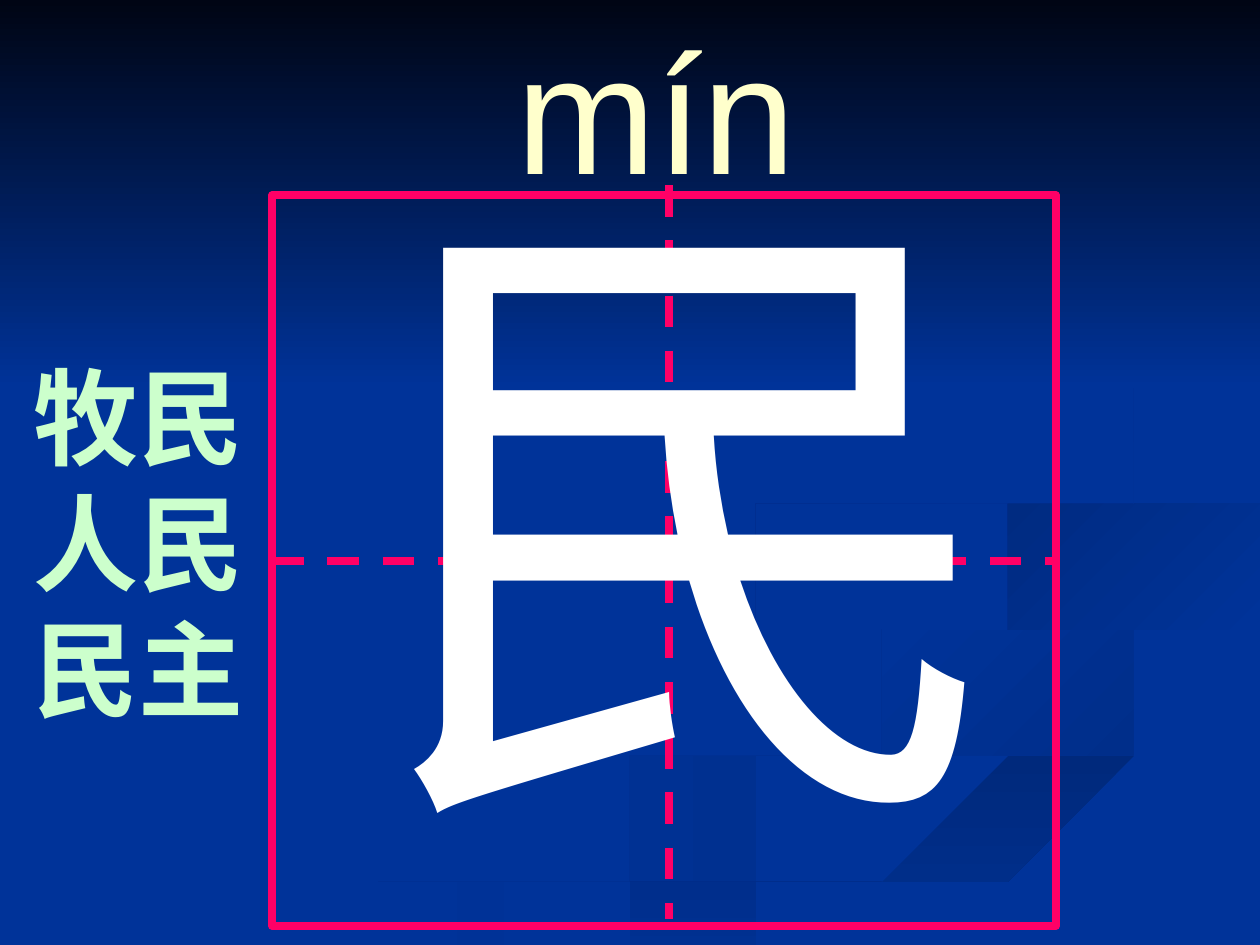
import pptx
import pptx.util
import pptx.dml.color
import pptx.enum.dml
import pptx.enum.shapes
import pptx.enum.text
import pptx.oxml

Inches, Pt = pptx.util.Inches, pptx.util.Pt
RGB = pptx.dml.color.RGBColor
SHAPE = pptx.enum.shapes.MSO_SHAPE
LINE = pptx.enum.shapes.MSO_CONNECTOR.STRAIGHT
FIT = pptx.enum.text.MSO_AUTO_SIZE

BLUE = RGB.from_string("003399")
DUSK = RGB.from_string("002E8A")
DEEP = RGB.from_string("00297C")
DIM = RGB.from_string("002B81")
NIGHT = RGB.from_string("000514")
PINK = RGB.from_string("FF0066")
WHITE = RGB.from_string("FFFFFF")
MINT = RGB.from_string("CCFFCC")
CREAM = RGB.from_string("FFFFCC")

WIDE, HIGH = 10, 7.5
STEPS = 6

# Background ribbons: first colour, last colour, clockwise angle, smooth edges
RIBBONS = [
    (DUSK, BLUE, 180, [
        [(5.75, 4.6), (5.94, 4.85), (6.82, 5.19), (7.81, 5.53), (8, 5.8),
         (7.69, 6.1), (5.64, 6.65), (3.6, 7.5)],
        [(3, 7.5), (5, 6.6), (7.4, 5.98), (7.85, 5.66), (7.28, 5.35),
         (6.02, 4.91)]]),
    (DUSK, BLUE, 225, [
        [(7.24, 4.64), (7.58, 4.98), (8.7, 5.3), (9.3, 5.53), (9.41, 5.8),
         (8.94, 6.05)],
        [(8.94, 6.05), (9.18, 5.8), (8.8, 5.5), (7.66, 5.12), (7.24, 4.64)]]),
    (DEEP, BLUE, 90, [
        [(5.03, 7.5), (6.3, 6.93), (7.64, 6.47), (9.98, 5.8)],
        [(9.98, 6.1), (7.85, 6.6), (6.5, 7.1), (5.7, 7.5)]]),
    (BLUE, BLUE, 0, [
        [(10, 3.87), (8.3, 4.15), (7.25, 4.64), (7.93, 5.1), (9.05, 5.4),
         (9.43, 5.7), (8.92, 6.05), (6.63, 6.68), (4.77, 7.5)],
        [(5.03, 7.5), (7.65, 6.47), (10, 5.8)],
        [(10, 5.38), (8.32, 4.98), (7.8, 4.63), (8.5, 4.27), (10, 4.02)]]),
    (BLUE, DIM, 225, [
        [(9.98, 4.02), (8.65, 4.24), (7.8, 4.6), (8.26, 4.96)],
        [(8.26, 4.96), (8.05, 4.72), (8.6, 4.43), (9.98, 4.2)]]),
    (BLUE, DIM, 225, [
        [(7.62, 2.33), (8.64, 2.9), (8.94, 3.44), (8.25, 4.02), (6.5, 4.36),
         (5.93, 4.7), (6.22, 5)],
        [(6.22, 5), (5.77, 4.62), (6.5, 4.2), (8.42, 3.78), (8.89, 3.35),
         (7.62, 2.33)]]),
]

# Text, left, top, width, height, size, font, colour, bold, wrap
TEXTS = [
    ("民", 2.83, 0.83, 5.14, 6.27, 370, "Times New Roman", WHITE, False, True),
    ("牧民人民民主", 0.17, 2.75, 2.05, 3.1, 60, "Arial", MINT, True, True),
    ("mín", 4, 0, 2.42, 1.7, 96, "Arial", CREAM, False, False),
]


def blend(a, b, c, d, t):
    """Catmull-Rom value between b and c."""
    return (2 * b + (c - a) * t + (2 * a - 5 * b + 4 * c - d) * t ** 2
            + (3 * b - a - 3 * c + d) * t ** 3) / 2


def smooth(knots):
    """Points of a soft curve through all the knots."""
    ends = [knots[0], *knots, knots[-1]]
    curve = [tuple(blend(*axis, step / STEPS) for axis in zip(*four))
             for four in zip(ends, ends[1:], ends[2:], ends[3:])
             for step in range(STEPS)]
    return curve + [knots[-1]]


def shade(shape, first, last, angle):
    """Fill with a two-colour blend, angle clockwise, without outline."""
    shape.shadow.inherit = False
    shape.line.fill.background()
    if first == last:
        shape.fill.solid()
        shape.fill.fore_color.rgb = first
        return
    shape.fill.gradient()
    shape.fill.gradient_angle = 360 - angle
    for spot, (stop, tint) in enumerate(zip(shape.fill.gradient_stops, (first, last))):
        stop.color.rgb = tint
        stop.position = spot


def pen(line):
    line.color.rgb = PINK
    line.width = Pt(4.5)


def add_guide(shapes, *ends):
    guide = shapes.add_connector(LINE, *map(Inches, ends))
    pen(guide.line)
    guide.line.dash_style = pptx.enum.dml.MSO_LINE.DASH
    guide._element.spPr.append(pptx.oxml.parse_xml(
        '<a:effectLst xmlns:a="http://schemas.openxmlformats.org/drawingml/2006/main"/>'))
    return guide


def add_label(shapes, text, x, y, w, h, size, face, tint, bold, wrap):
    frame = shapes.add_textbox(*map(Inches, (x, y, w, h))).text_frame
    frame.word_wrap = wrap
    frame.auto_size = FIT.SHAPE_TO_FIT_TEXT
    frame.text = text
    font = frame.paragraphs[0].runs[0].font
    font.size, font.name, font.bold = Pt(size), face, bold
    font.color.rgb = tint


def main():
    deck = pptx.Presentation()
    deck.slide_width, deck.slide_height = Inches(WIDE), Inches(HIGH)
    slide = deck.slides.add_slide(deck.slide_layouts[6])
    slide.background.fill.solid()
    slide.background.fill.fore_color.rgb = BLUE
    shapes = slide.shapes

    for first, last, angle, edges in RIBBONS:
        start, *rest = [point for edge in edges for point in smooth(edge)]
        pen_path = shapes.build_freeform(*start, scale=Inches(1))
        pen_path.add_line_segments(rest, close=True)
        shade(pen_path.convert_to_shape(), first, last, angle)
    sky = shapes.add_shape(SHAPE.RECTANGLE, 0, 0, Inches(WIDE), Inches(3.08))
    shade(sky, NIGHT, BLUE, 90)

    left, top, wide, high = 2.16, 1.55, 6.22, 5.8
    frame = shapes.add_shape(SHAPE.RECTANGLE, *map(Inches, (left, top, wide, high)))
    frame.shadow.inherit = False
    frame.fill.background()
    pen(frame.line)
    middle = top + high / 2
    across = add_guide(shapes, left, middle, left + wide, middle)
    across.begin_connect(frame, 1)
    across.end_connect(frame, 3)
    add_guide(shapes, 5.31, 1.47, 5.31, 7.29)

    for label in TEXTS:
        add_label(shapes, *label)
    deck.save("out.pptx")


if __name__ == "__main__":
    main()
